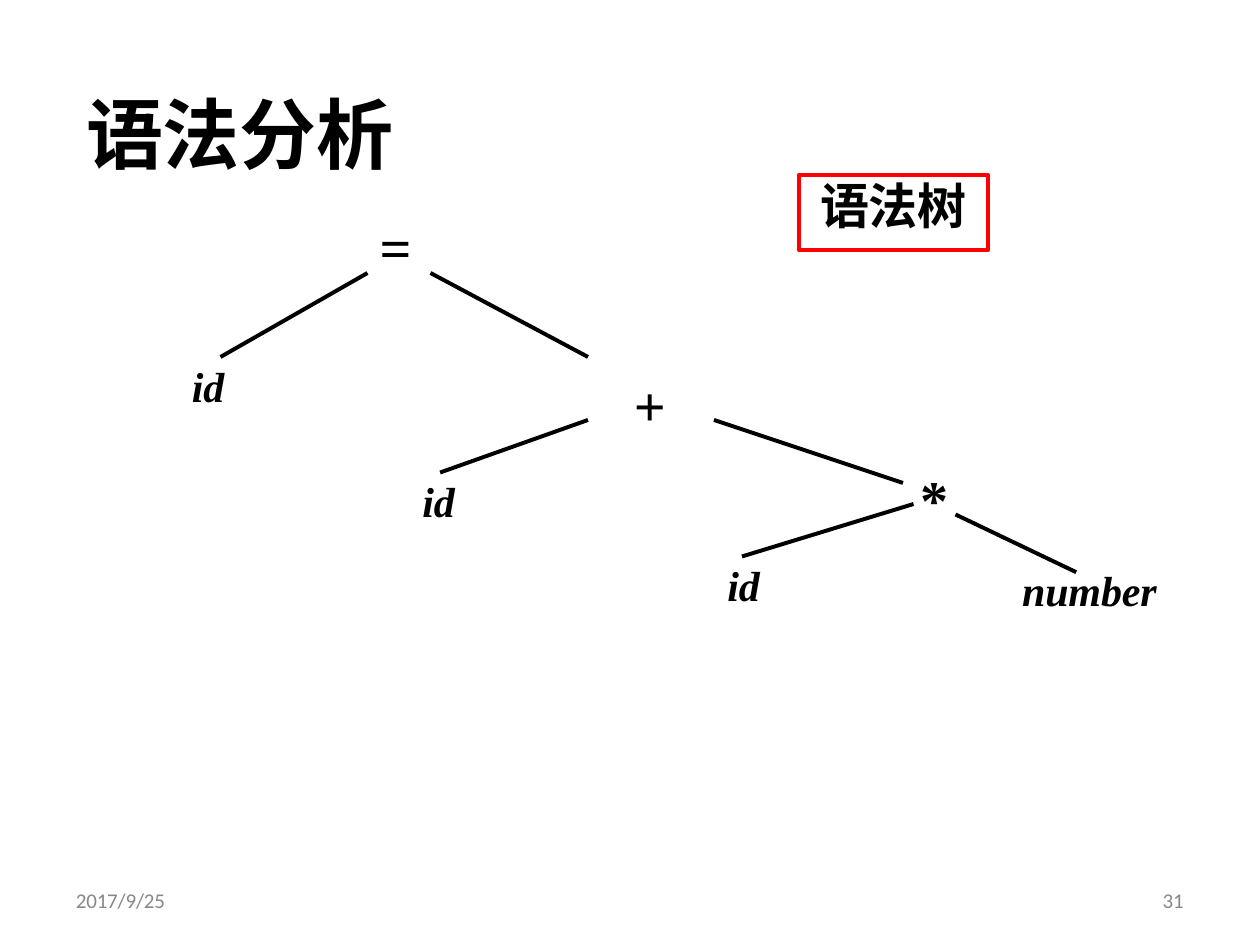
from lxml.etree import SubElement
from pptx import Presentation
from pptx.dml.color import RGBColor
from pptx.enum.shapes import MSO_CONNECTOR as Connector, MSO_SHAPE as Shape
from pptx.enum.text import MSO_ANCHOR as Anchor, MSO_AUTO_SIZE as AutoSize, PP_ALIGN as Align
from pptx.oxml.ns import qn
from pptx.util import Pt

COLORS = {"ink": "000000", "frame": "FF0000", "footer": "888888"}
CHINESE, SERIF, SANS = "Noto Sans CJK SC", "Times New Roman", "Calibri"


class TreeSlide:
    """Holds the style and the current slide, and draws its elements."""

    line_width = 2.28

    def __init__(self, presentation):
        self.slide = presentation.slides.add_slide(presentation.slide_layouts[5])

    def color(self, name):
        return RGBColor.from_string(COLORS[name])

    def place(self, shape, left, top, width, height):
        shape.left, shape.top = Pt(left), Pt(top)
        shape.width, shape.height = Pt(width), Pt(height)

    def set_text(self, shape, text, size, font, color="ink", bold=True, italic=False,
                 align=Align.LEFT, before=1, spacing=-0.1, inset=0.9, bottom=0.9, leading=None):
        frame = shape.text_frame
        frame.auto_size = AutoSize.NONE
        frame.word_wrap = False
        frame.vertical_anchor = Anchor.TOP
        frame.margin_left, frame.margin_bottom = Pt(inset), Pt(bottom)
        frame.margin_top = frame.margin_right = 0
        paragraph = frame.paragraphs[0]
        paragraph.alignment = align
        paragraph.space_before = Pt(before)
        if leading:
            paragraph.line_spacing = Pt(leading)
        run = paragraph.add_run()
        run.text = text
        run.font.size, run.font.name = Pt(size), font
        run.font.bold, run.font.italic = bold, italic
        run.font.color.rgb = self.color(color)
        properties = run._r.get_or_add_rPr()
        properties.set("spc", str(round(spacing * 100)))
        east_asian = SubElement(properties, qn("a:ea"))
        east_asian.set("typeface", font)

    def title(self, text, *box):
        shape = self.slide.shapes.title
        self.place(shape, *box)
        self.set_text(shape, text, 44, CHINESE, spacing=-0.2)

    def text(self, text, box, size, font, **style):
        shape = self.slide.shapes.add_textbox(*map(Pt, box))
        self.set_text(shape, text, size, font, **style)

    def operator(self, symbol, left, top):
        self.text(symbol, (left, top, 20, 40.3), 32, SERIF)

    def leaf(self, word, left, top, width=21):
        self.text(word, (left, top, width, 31), 24, SERIF, italic=True)

    def footer(self, text, left, width, inset):
        self.text(text, (left, 509, width, 13.7), 12, SANS, color="footer", bold=False,
                  before=0, inset=inset, bottom=0, leading=12.4)

    def branch(self, start, end):
        line = self.slide.shapes.add_connector(Connector.STRAIGHT, *map(Pt, start + end))
        line.line.color.rgb = self.color("ink")
        line.line.width = Pt(self.line_width)
        SubElement(line._element.spPr, qn("a:effectLst"))

    def caption(self, text, *box):
        shape = self.slide.shapes.add_shape(Shape.RECTANGLE, *map(Pt, box))
        shape.shadow.inherit = False
        shape.fill.background()
        shape.line.color.rgb = self.color("frame")
        shape.line.width = Pt(self.line_width)
        self.set_text(shape, text, 28, CHINESE, align=Align.CENTER, before=3.1,
                      inset=0, bottom=2.9)


def main():
    presentation = Presentation()
    presentation.slide_width, presentation.slide_height = Pt(720), Pt(540)
    tree = TreeSlide(presentation)
    tree.title("语法分析", 48.3, 49.7, 178, 54.7)

    for leaf in (("id", 108.7, 206), ("id", 240.5, 271.5), ("id", 414.7, 319.7),
                 ("number", 583.2, 322.6, 79)):
        tree.leaf(*leaf)
    for start, end in (((210, 156), (126, 204)), ((246, 156), (336, 204)),
                       ((336, 240), (251.5, 270)), ((408, 240), (516, 276)),
                       ((522, 288), (424, 318)), ((546, 294), (615, 327))):
        tree.branch(start, end)
    for operator in (("=", 216, 121.7), ("+", 361.4, 211.7), ("*", 524.9, 265.7)):
        tree.operator(*operator)

    tree.caption("语法树", 456.5, 100, 108, 43)
    tree.footer("2017/9/25", 42.5, 54, 0.9)
    tree.footer("31", 662.4, 16, 2)
    presentation.save("out.pptx")


if __name__ == "__main__":
    main()
